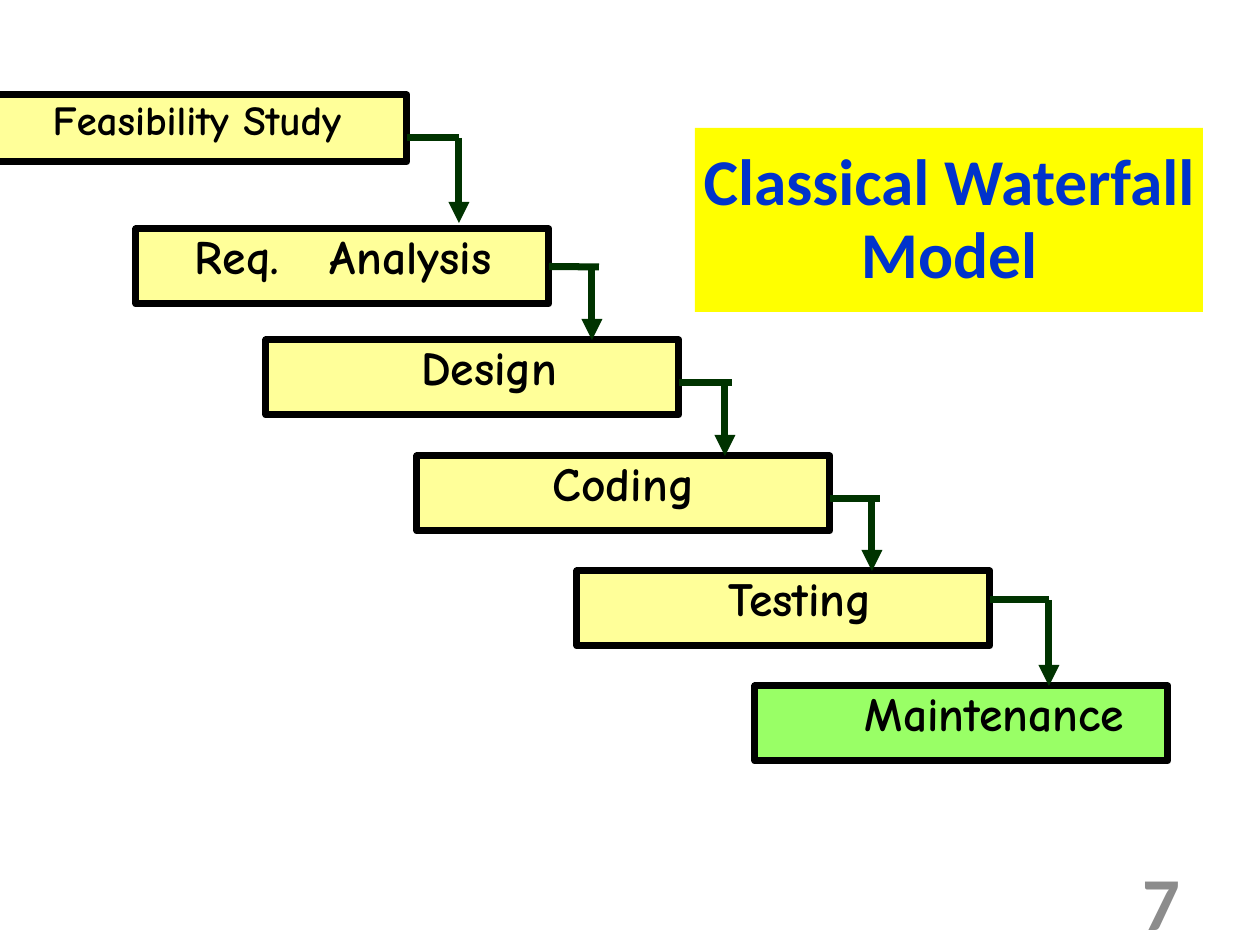
from lxml.etree import SubElement
from pptx import Presentation
from pptx.dml.color import RGBColor
from pptx.enum.shapes import MSO_CONNECTOR, MSO_SHAPE
from pptx.enum.text import MSO_ANCHOR, PP_ALIGN
from pptx.oxml.ns import qn
from pptx.util import Pt

SLIDE_SIZE = (1260, 945)
PX = 914400 / 168

TITLE = ("Classical Waterfall Model", (695, 128, 508, 184))
PAGE_NUMBER = ("7", (903, 876, 294, 50))
YELLOW, GREEN, BLACK, ARROW_GREEN = "FFFF99", "99FF66", "000000", "003300"
STAGE_SIZE = (413, 75)

STAGES = [
    {"name": "Feasibility Study", "at": (-13, 95), "size": (420, 67), "font": 17.7},
    {"name": "Req.\tAnalysis", "at": (136, 229), "indent": 57, "tab": 135},
    {"name": "Design", "at": (266, 340), "indent": 34},
    {"name": "Coding", "at": (417, 456)},
    {"name": "Testing", "at": (577, 571), "indent": 33},
    {"name": "Maintenance", "at": (755, 686), "indent": 66, "fill": GREEN},
]
STEPS = [
    {"exit_y": 138, "end_x": 459, "down_x": 459, "gap": 6},
    {"exit_y": 267, "end_x": 599, "down_x": 592},
    {"exit_y": 383, "end_x": 732, "down_x": 725},
    {"exit_y": 499, "end_x": 880, "down_x": 872},
    {"exit_y": 600, "end_x": 1049, "down_x": 1049},
]


def px(*lengths):
    return [round(length * PX) for length in lengths]


def color(hex_string):
    return RGBColor.from_string(hex_string)


def write(shape, text, font, size, hex_string, align, spacing=None, before=None):
    frame = shape.text_frame
    frame.word_wrap = True
    frame.text = text
    paragraph = frame.paragraphs[0]
    paragraph.alignment = align
    if spacing:
        paragraph.line_spacing = spacing
        paragraph.space_before = Pt(before)
    for run in paragraph.runs:
        run.font.name = font
        run.font.size = Pt(size)
        run.font.bold = True
        run.font.color.rgb = color(hex_string)
    return paragraph


def set_insets(frame, left=2):
    frame.margin_left, frame.margin_right = px(left, 2)
    frame.margin_top, frame.margin_bottom = px(7, 7)


def add_stage(slide, stage):
    place = px(*stage["at"], *stage.get("size", STAGE_SIZE))
    box = slide.shapes.add_shape(MSO_SHAPE.RECTANGLE, *place)
    box.shadow.inherit = False
    box.fill.solid()
    box.fill.fore_color.rgb = color(stage.get("fill", YELLOW))
    box.line.color.rgb = color(BLACK)
    box.line.width = Pt(3)
    box.text_frame.vertical_anchor = MSO_ANCHOR.TOP
    set_insets(box.text_frame, 2 + stage.get("indent", 0))
    align = PP_ALIGN.LEFT if "tab" in stage else PP_ALIGN.CENTER
    label = write(box, stage["name"], "Comic Neue", stage.get("font", 20.4),
                  BLACK, align, 0.85, 8.6)
    if "tab" in stage:
        tabs = SubElement(label._p.get_or_add_pPr(), qn("a:tabLst"))
        SubElement(tabs, qn("a:tab"), pos=str(px(stage["tab"])[0]), algn="l")
    return box


def add_line(slide, start, end, arrow=False):
    line = slide.shapes.add_connector(MSO_CONNECTOR.STRAIGHT, *px(*start, *end))
    line.line.color.rgb = color(ARROW_GREEN)
    line.line.width = Pt(3)
    if arrow:
        SubElement(line.line._get_or_add_ln(), qn("a:tailEnd"), type="triangle")
    SubElement(line._element.spPr, qn("a:effectLst"))
    return line


def add_step(slide, step, stage, box, next_stage):
    left, top = stage["at"]
    width, height = stage.get("size", STAGE_SIZE)
    exit_y, down_x = step["exit_y"], step["down_x"]
    tip_y = next_stage["at"][1] - step.get("gap", 0)
    out = add_line(slide, (left + width, exit_y), (step["end_x"], exit_y))
    if abs(exit_y - top - height / 2) < 1:
        out.begin_connect(box, 3)
    add_line(slide, (down_x, exit_y), (down_x, tip_y), arrow=True)


def main():
    deck = Presentation()
    deck.slide_width, deck.slide_height = px(*SLIDE_SIZE)
    slide = deck.slides.add_slide(deck.slide_layouts[6])

    text, place = TITLE
    title = slide.shapes.add_textbox(*px(*place))
    title.fill.solid()
    title.fill.fore_color.rgb = color("FFFF00")
    title.text_frame.vertical_anchor = MSO_ANCHOR.MIDDLE
    set_insets(title.text_frame)
    write(title, text, "Calibri", 28, "0033CC", PP_ALIGN.CENTER, 0.94, 6.8)

    boxes = [add_stage(slide, stage) for stage in STAGES]
    for step, stage, box, next_stage in zip(STEPS, STAGES, boxes, STAGES[1:]):
        add_step(slide, step, stage, box, next_stage)

    text, place = PAGE_NUMBER
    page_number = slide.shapes.add_textbox(*px(*place))
    page_number.text_frame.vertical_anchor = MSO_ANCHOR.MIDDLE
    write(page_number, text, "Calibri", 32, "8C8C8C", PP_ALIGN.RIGHT)

    deck.save("out.pptx")


if __name__ == "__main__":
    main()
